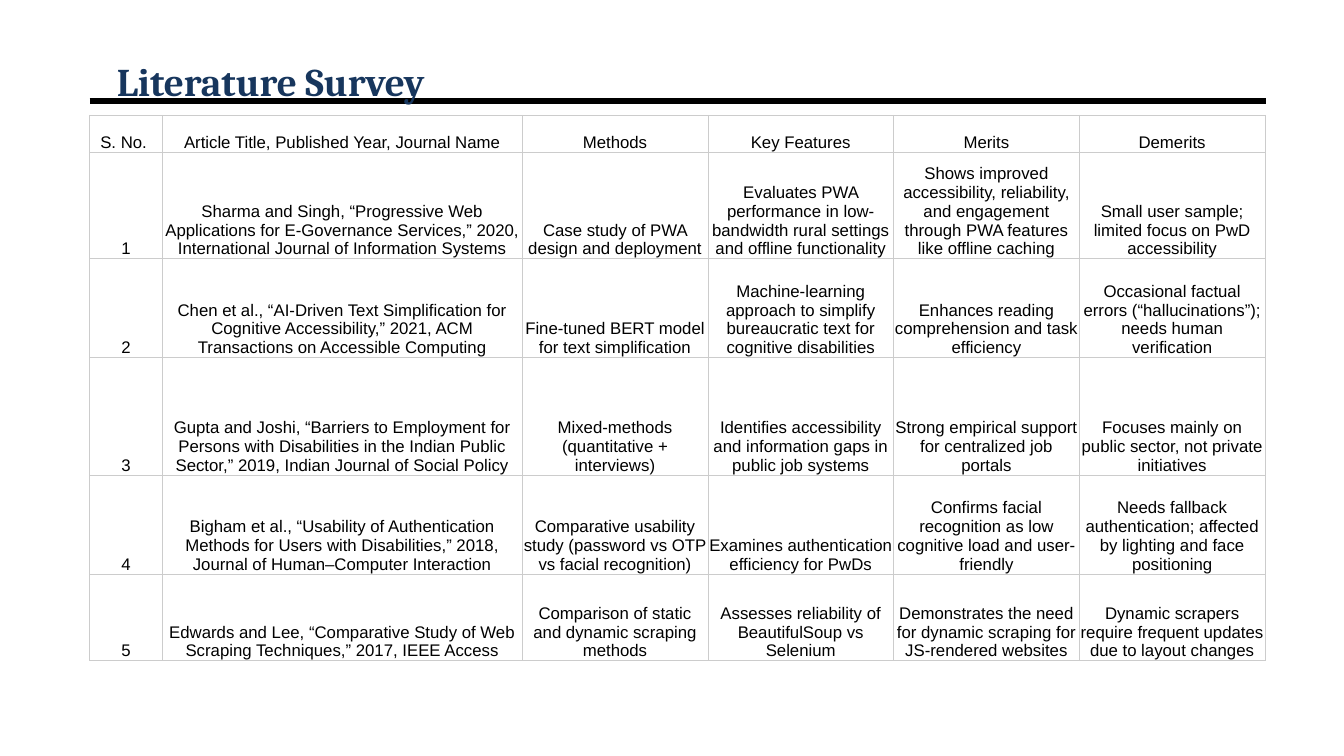
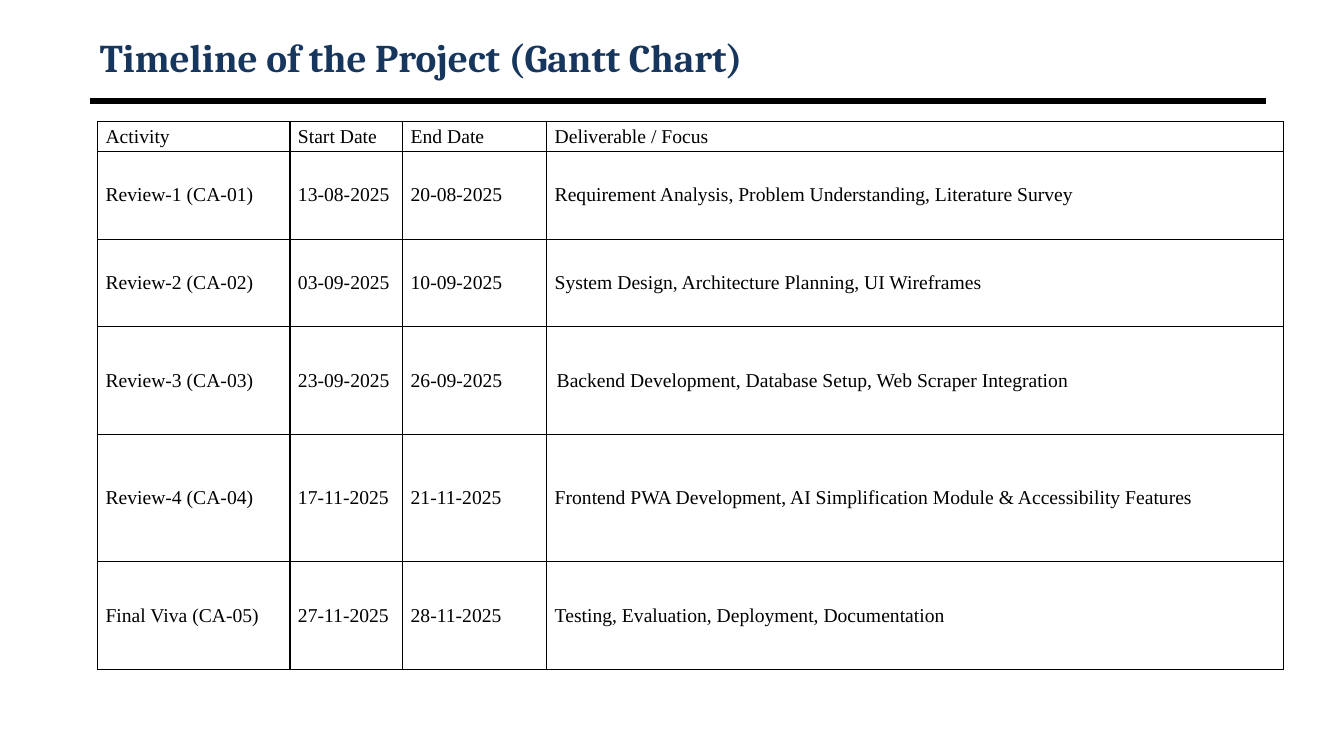
from lxml import etree
from pptx import Presentation
from pptx.dml.color import RGBColor
from pptx.enum.shapes import MSO_CONNECTOR
from pptx.enum.text import MSO_ANCHOR, MSO_AUTO_SIZE, PP_ALIGN
from pptx.oxml.ns import qn
from pptx.util import Cm, Pt

STRAIGHT = MSO_CONNECTOR.STRAIGHT
MIDDLE, BOTTOM = MSO_ANCHOR.MIDDLE, MSO_ANCHOR.BOTTOM
NO_AUTOFIT = MSO_AUTO_SIZE.NONE
LEFT, CENTER, JUSTIFY = PP_ALIGN.LEFT, PP_ALIGN.CENTER, PP_ALIGN.JUSTIFY

NAVY = RGBColor(0x17, 0x36, 0x5D)
BLACK = RGBColor(0, 0, 0)
LIGHT_GRAY = RGBColor(0xCC, 0xCC, 0xCC)

TITLE_ONLY = 5
TITLE_BOX = (Cm(2.26), Cm(0.76), Cm(29.64), Cm(1.35))
RULE_TOP = Cm(2.54)

SURVEY = [
    ("S. No. ", "Article Title, Published Year, Journal Name", "Methods",
     "Key Features", "Merits", "Demerits"),
    ("1",
     "Sharma and Singh, “Progressive Web Applications for E-Governance Services,” 2020, "
     "International Journal of Information Systems",
     "Case study of PWA design and deployment",
     "Evaluates PWA performance in low-bandwidth rural settings and offline functionality",
     "Shows improved accessibility, reliability, and engagement through PWA features "
     "like offline caching",
     "Small user sample; limited focus on PwD accessibility"),
    ("2",
     "Chen et al., “AI-Driven Text Simplification for Cognitive Accessibility,” 2021, "
     "ACM Transactions on Accessible Computing",
     "Fine-tuned BERT model for text simplification",
     "Machine-learning approach to simplify bureaucratic text for cognitive disabilities",
     "Enhances reading comprehension and task efficiency",
     "Occasional factual errors (“hallucinations”); needs human verification"),
    ("3",
     "Gupta and Joshi, “Barriers to Employment for Persons with Disabilities in the "
     "Indian Public Sector,” 2019, Indian Journal of Social Policy",
     "Mixed-methods (quantitative + interviews)",
     "Identifies accessibility and information gaps in public job systems",
     "Strong empirical support for centralized job portals",
     "Focuses mainly on public sector, not private initiatives"),
    ("4",
     "Bigham et al., “Usability of Authentication Methods for Users with Disabilities,” "
     "2018, Journal of Human–Computer Interaction",
     "Comparative usability study (password vs OTP vs facial recognition)",
     "Examines authentication efficiency for PwDs",
     "Confirms facial recognition as low cognitive load and user-friendly",
     "Needs fallback authentication; affected by lighting and face positioning"),
    ("5",
     "Edwards and Lee, “Comparative Study of Web Scraping Techniques,” 2017, IEEE Access",
     "Comparison of static and dynamic scraping methods",
     "Assesses reliability of BeautifulSoup vs Selenium",
     "Demonstrates the need for dynamic scraping for JS-rendered websites",
     "Dynamic scrapers require frequent updates due to layout changes"),
]

TIMELINE = [
    ("Activity", "Start Date", "End Date", "Deliverable / Focus"),
    ("Review-1 (CA-01)", "13-08-2025", "20-08-2025",
     "Requirement Analysis, Problem Understanding, Literature Survey"),
    ("Review-2 (CA-02)", "03-09-2025", "10-09-2025",
     "System Design, Architecture Planning, UI Wireframes"),
    ("Review-3 (CA-03)", "23-09-2025", "26-09-2025",
     "Backend Development, Database Setup, Web Scraper Integration"),
    ("Review-4 (CA-04)", "17-11-2025", "21-11-2025",
     "Frontend PWA Development, AI Simplification Module & Accessibility Features"),
    ("Final Viva (CA-05)", "27-11-2025", "28-11-2025",
     "Testing, Evaluation, Deployment, Documentation"),
]


def add_rule(slide, left, top, width):
    rule = slide.shapes.add_connector(STRAIGHT, left, top, left + width, top)
    rule.line.color.rgb = BLACK
    rule.line.width = Pt(4.5)
    etree.SubElement(rule._element.spPr, qn("a:effectLst"))
    slide.shapes._spTree.insert(2, rule._element)


def add_titled_slide(presentation, text, box):
    slide = presentation.slides.add_slide(presentation.slide_layouts[TITLE_ONLY])
    title = slide.shapes.title
    title.left, title.top, title.width, title.height = box
    frame = title.text_frame
    frame.text = text
    frame.auto_size = NO_AUTOFIT
    frame.vertical_anchor = MIDDLE
    paragraph = frame.paragraphs[0]
    paragraph.alignment = LEFT
    font = paragraph.font
    font.name, font.size, font.bold = "Cambria", Pt(28), True
    font.color.rgb = NAVY
    add_rule(slide, box[0], RULE_TOP, box[2])
    return slide


def set_borders(cell, color, width):
    properties = cell._tc.get_or_add_tcPr()
    for side in ("a:lnL", "a:lnR", "a:lnT", "a:lnB"):
        border = etree.SubElement(properties, qn(side), w=str(width))
        fill = etree.SubElement(border, qn("a:solidFill"))
        etree.SubElement(fill, qn("a:srgbClr"), val=str(color))


def format_cell(cell, margins, anchor, alignment, font_name, font_size):
    cell.margin_left = cell.margin_right = margins[0]
    cell.margin_top = cell.margin_bottom = margins[1]
    cell.vertical_anchor = anchor
    paragraph = cell.text_frame.paragraphs[0]
    paragraph.alignment = alignment
    paragraph.font.name = font_name
    paragraph.font.size = font_size
    paragraph.font.color.rgb = BLACK


def add_grid(slide, left, top, widths, heights, rows, border, **cell_style):
    table = slide.shapes.add_table(
        len(rows), len(widths), left, top, Cm(sum(widths)), Cm(sum(heights))).table
    table.first_row = table.horz_banding = False
    for column, width in zip(table.columns, widths):
        column.width = Cm(width)
    for row, height, texts in zip(table.rows, heights, rows):
        row.height = Cm(height)
        for cell, text in zip(row.cells, texts):
            cell.text = text
            format_cell(cell, **cell_style)
            set_borders(cell, *border)
            cell.fill.background()
    return table


def add_survey_slide(presentation):
    slide = add_titled_slide(presentation, "Literature Survey", TITLE_BOX)
    paragraph = slide.shapes.title.text_frame.paragraphs[0]
    paragraph.alignment = JUSTIFY
    paragraph.line_spacing = 2.0
    properties = paragraph._p.get_or_add_pPr()
    properties.set("marL", str(Cm(0.43)))
    properties.set("indent", "0")
    add_grid(slide, TITLE_BOX[0], Cm(2.9),
             [1.83, 9.07] + [4.68] * 4, [0.94, 2.67, 2.49, 2.97, 2.49, 2.18],
             SURVEY, (LIGHT_GRAY, Pt(0.5)),
             margins=(Cm(0.03), Cm(0)), anchor=BOTTOM, alignment=CENTER,
             font_name="Arial", font_size=Pt(12))


def add_timeline_slide(presentation):
    slide = add_titled_slide(
        presentation, "Timeline of the Project (Gantt Chart)", TITLE_BOX)
    table = add_grid(slide, TITLE_BOX[0] + Cm(0.2), Cm(3.07),
                     [4.85, 2.84, 3.63, 18.57], [0.71, 2.21, 2.21, 2.72, 3.2, 2.72],
                     TIMELINE, (BLACK, Pt(1)),
                     margins=(Cm(0.2), Cm(0.1)), anchor=MIDDLE, alignment=JUSTIFY,
                     font_name="Times New Roman", font_size=Pt(14))
    backend_cell = table.cell(3, 3)
    backend_cell.margin_left = Cm(0.25)
    backend_cell.text_frame.paragraphs[0].alignment = LEFT


def main():
    presentation = Presentation()
    presentation.slide_width, presentation.slide_height = Cm(33.87), Cm(19.05)
    add_survey_slide(presentation)
    add_timeline_slide(presentation)
    presentation.save("out.pptx")


if __name__ == "__main__":
    main()
